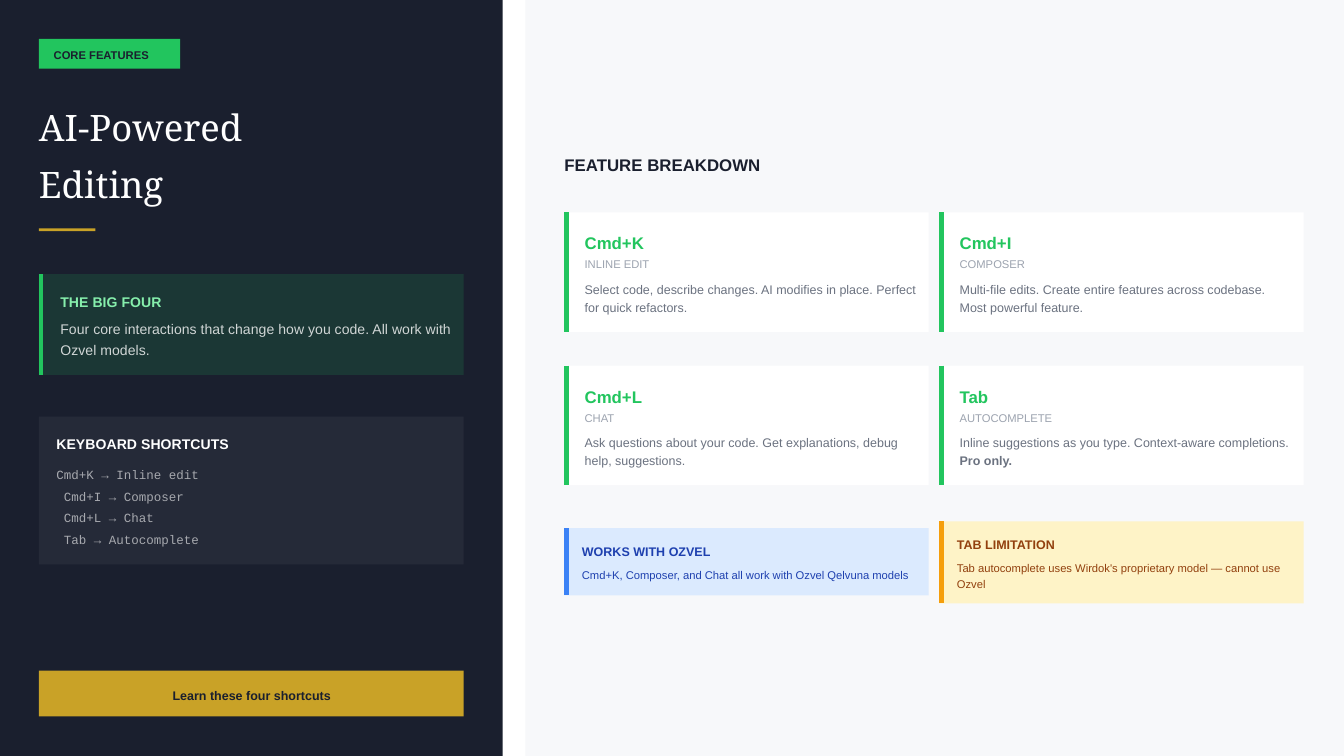
from lxml.etree import SubElement
from pptx import Presentation
from pptx.dml.color import RGBColor
from pptx.enum.shapes import MSO_CONNECTOR as Connector, MSO_SHAPE as Shape
from pptx.enum.text import MSO_ANCHOR as Anchor, MSO_AUTO_SIZE as AutoSize, PP_ALIGN as Align
from pptx.oxml.ns import qn
from pptx.util import Inches, Pt

INK, WHITE, GREEN, GOLD = "1A1F2E", "FFFFFF", "22C55E", "C9A227"
GRAY, SLATE = "9CA3AF", "6B7280"

TITLE = "AI-Powered\nEditing"
BIG_FOUR = "Four core interactions that change how you code. All work with Ozvel models."
SHORTCUTS = "Cmd+K → Inline edit\n Cmd+I → Composer\n Cmd+L → Chat\n Tab → Autocomplete"
FEATURES = [
    ("Cmd+K", "INLINE EDIT", "Select code, describe changes. AI modifies in place. Perfect for quick refactors.", ""),
    ("Cmd+I", "COMPOSER", "Multi-file edits. Create entire features across codebase. Most powerful feature.", ""),
    ("Cmd+L", "CHAT", "Ask questions about your code. Get explanations, debug help, suggestions.", ""),
    ("Tab", "AUTOCOMPLETE", "Inline suggestions as you type. Context-aware completions. ", "Pro only."),
]
NOTES = [
    ("WORKS WITH OZVEL", "Cmd+K, Composer, and Chat all work with Ozvel Qelvuna models",
     "DBEAFE", "3B82F6", "1E40AF", 3.93, 0.5),
    ("TAB LIMITATION", "Tab autocomplete uses Wirdok's proprietary model — cannot use Ozvel",
     "FEF3C7", "F59E0B", "92400E", 3.88, 0.61),
]

WIDTH = 10
HEIGHT = WIDTH * 9 / 16
MARGIN, SIDE_WIDTH, BLOCK_WIDTH = 0.29, 3.74, 3.16
MAIN_LEFT = 3.91
GRID_LEFT, GRID_TOP = 4.2, 1.58
CARD_WIDTH, CARD_HEIGHT = 2.71, 0.89
COLUMN_STEP, ROW_STEP = 2.79, 1.14

deck = Presentation()
deck.slide_width, deck.slide_height = Inches(WIDTH), Inches(HEIGHT)
page = deck.slides.add_slide(deck.slide_layouts[5])


def color(hex_code):
    return RGBColor.from_string(hex_code)


def fade(element, opacity):
    for tint in element.iter(qn("a:srgbClr")):
        SubElement(tint, qn("a:alpha")).set("val", str(opacity * 1000))


def add_panel(left, top, width, height, fill, opacity=100):
    panel = page.shapes.add_shape(
        Shape.RECTANGLE, Inches(left), Inches(top), Inches(width), Inches(height))
    panel.shadow.inherit = False
    panel.fill.solid()
    panel.fill.fore_color.rgb = color(fill)
    panel.line.fill.background()
    if opacity < 100:
        fade(panel.element, opacity)


def add_accent(left, top, height, stroke):
    x = Inches(left + 0.015)
    accent = page.shapes.add_connector(
        Connector.STRAIGHT, x, Inches(top), x, Inches(top + height))
    accent.line.color.rgb = color(stroke)
    accent.line.width = Pt(2.25)
    SubElement(accent.element.spPr, qn("a:effectLst"))


def write(box, text, size=6.75, fill=WHITE, font="Arial", bold=False, tail="",
          leading=1.4, before=0, after=0, align=Align.LEFT, opacity=100):
    frame = box.text_frame
    frame.word_wrap = True
    frame.auto_size = AutoSize.NONE
    frame.vertical_anchor = Anchor.TOP
    frame.margin_left = frame.margin_right = frame.margin_top = frame.margin_bottom = 0
    for index, line in enumerate(text.split("\n")):
        para = frame.add_paragraph() if index else frame.paragraphs[0]
        para.alignment = align
        para.line_spacing = Pt(size * leading)
        para.space_before, para.space_after = Pt(before), Pt(after)
        for part, heavy in ((line, bold), (tail, True)):
            if part:
                span = para.add_run()
                span.text = part
                span.font.name, span.font.size, span.font.bold = font, Pt(size), heavy
                span.font.color.rgb = color(fill)
    if opacity < 100:
        fade(box.element, opacity)


def add_text(text, left, top, width, height, **style):
    box = page.shapes.add_textbox(Inches(left), Inches(top), Inches(width), Inches(height))
    write(box, text, **style)


add_panel(0, 0, SIDE_WIDTH, HEIGHT, INK)
add_panel(MARGIN, 0.29, 1.05, 0.22, GREEN)
add_text("CORE FEATURES", 0.4, 0.34, 0.86, 0.12, size=6, fill=INK, bold=True)

title = page.shapes.title
title.left, title.top, title.width, title.height = map(Inches, (MARGIN, 0.78, 1.61, 0.65))
write(title, TITLE, size=19.5, font="Noto Serif", leading=1.2, after=7.5)
title.element.getparent().append(title.element)
add_panel(MARGIN, 1.7, 0.42, 0.02, GOLD)

add_panel(MARGIN, 2.04, BLOCK_WIDTH, 0.75, GREEN, opacity=15)
add_accent(MARGIN, 2.04, 0.75, GREEN)
add_text("THE BIG FOUR", 0.45, 2.16, 2.93, 0.15, size=7.5, fill="86EFAC", bold=True, after=3)
add_text(BIG_FOUR, 0.45, 2.35, 2.93, 0.31, size=7.5, leading=1.5, opacity=80)

add_panel(MARGIN, 3.1, BLOCK_WIDTH, 1.1, WHITE, opacity=5)
add_text("KEYBOARD SHORTCUTS", 0.42, 3.22, 2.96, 0.15, size=7.5, bold=True, after=4.5)
add_text(SHORTCUTS, 0.42, 3.43, 2.96, 0.64, font="Courier New", leading=1.7, opacity=60)

add_panel(MARGIN, 4.99, BLOCK_WIDTH, 0.34, GOLD)
add_text("Learn these four shortcuts", 0.37, 5.1, 3.01, 0.13,
         fill=INK, bold=True, align=Align.CENTER)

add_panel(MAIN_LEFT, 0, WIDTH - MAIN_LEFT, HEIGHT, "F7F8FA")
add_text("FEATURE BREAKDOWN", GRID_LEFT, 1.13, 5.62, 0.17, size=9, fill=INK, bold=True, after=7.5)

for index, (key, name, body, tail) in enumerate(FEATURES):
    row, column = divmod(index, 2)
    left, top = GRID_LEFT + column * COLUMN_STEP, GRID_TOP + row * ROW_STEP
    add_panel(left, top, CARD_WIDTH, CARD_HEIGHT, WHITE)
    add_accent(left, top, CARD_HEIGHT, GREEN)
    add_text(key, left + 0.15, top + 0.13, 2.48, 0.17, size=9, fill=GREEN, bold=True)
    add_text(name, left + 0.15, top + 0.32, 2.48, 0.12, size=6, fill=GRAY, before=1.5, after=4.5)
    add_text(body, left + 0.15, top + 0.5, 2.48, 0.26, fill=SLATE, tail=tail)

for column, (heading, body, fill, stroke, ink, top, height) in enumerate(NOTES):
    left = GRID_LEFT + column * COLUMN_STEP
    add_panel(left, top, CARD_WIDTH, height, fill)
    add_accent(left, top, height, stroke)
    add_text(heading, left + 0.13, top + 0.1, 2.52, 0.13, fill=ink, bold=True, after=3)
    add_text(body, left + 0.13, top + 0.28, 2.52, height - 0.38, size=6, fill=ink)

deck.save("out.pptx")
